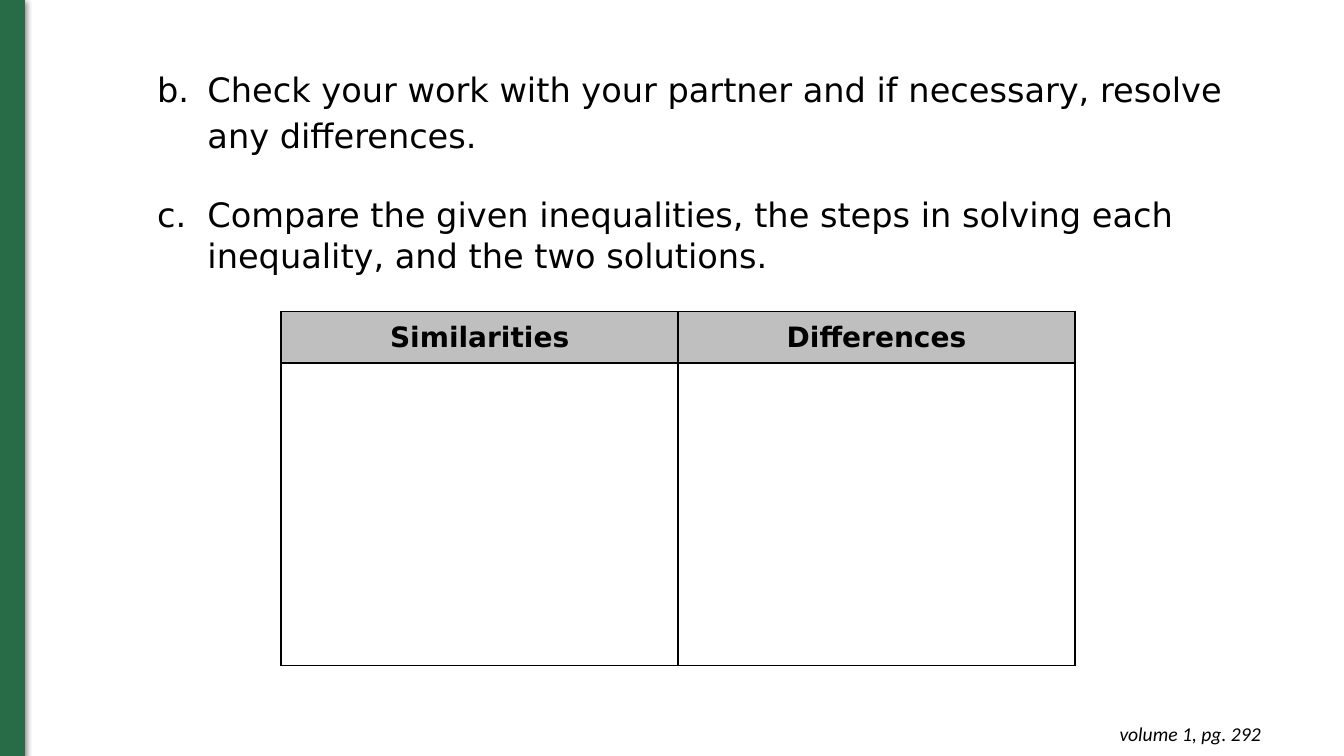
import pptx
import pptx.dml.color
import pptx.enum.shapes
import pptx.enum.text
import pptx.oxml
import pptx.oxml.ns
import pptx.util
from pptx.util import Cm, Pt

# Content
TASKS = [
    "Check your work with your partner and if necessary, resolve any differences.",
    "Compare the given inequalities, the steps in solving each inequality, and the two solutions.",
]
FIRST_LETTER = 2
LINE_SPACINGS = [1.15, 1.0]
HEADINGS = ["Similarities", "Differences"]
PAGE_REFERENCE = "volume 1, pg. 292"

COLORS = {"green": "276C46", "grey": "BFBFBF", "black": "000000"}
BODY_FONT, NOTE_FONT = "DejaVu Sans", "Calibri"
ALIGN = pptx.enum.text.PP_ALIGN


def color(name):
    return pptx.dml.color.RGBColor.from_string(COLORS[name])


def xml(markup):
    namespace = pptx.oxml.ns.nsdecls("a")
    return pptx.oxml.parse_xml(markup.replace(" ", f" {namespace} ", 1))


def add_span(para, text, size, font, bold=None, italic=None):
    span = para.add_run()
    span.text = text
    span.font.size = Pt(size)
    span.font.name = font
    span.font.bold = bold
    span.font.italic = italic
    span.font.color.rgb = color("black")


def add_box(page, left, top, width, height):
    box = page.shapes.add_textbox(Cm(left), Cm(top), Cm(width), Cm(height))
    box.text_frame.word_wrap = True
    box.text_frame.auto_size = pptx.enum.text.MSO_AUTO_SIZE.SHAPE_TO_FIT_TEXT
    return box.text_frame


def add_borders(cell, points):
    properties = cell._tc.get_or_add_tcPr()
    for position, side in enumerate(("lnL", "lnR", "lnT", "lnB")):
        properties.insert(position, xml(
            f'<a:{side} w="{Pt(points)}"><a:solidFill>'
            f'<a:srgbClr val="{COLORS["black"]}"/></a:solidFill></a:{side}>'))


def add_side_bar(page, height):
    bar = page.shapes.add_shape(
        pptx.enum.shapes.MSO_SHAPE.RECTANGLE, 0, 0, Cm(0.62), height)
    bar.fill.solid()
    bar.fill.fore_color.rgb = color("green")
    bar.line.color.rgb = color("green")
    bar.line.width = Pt(0.75)
    bar.shadow.inherit = False
    effects = bar._element.spPr.find(pptx.oxml.ns.qn("a:effectLst"))
    effects.append(xml(
        f'<a:outerShdw blurRad="{Pt(4.5)}" dist="{Pt(1.5)}" dir="5400000" rotWithShape="0">'
        f'<a:srgbClr val="{COLORS["black"]}"><a:alpha val="50000"/></a:srgbClr></a:outerShdw>'))


def add_tasks(page):
    frame = add_box(page, 2.44, 1.45, 29.31, 5.69)
    for index, (task, spacing) in enumerate(zip(TASKS, LINE_SPACINGS)):
        para = frame.paragraphs[0] if index == 0 else frame.add_paragraph()
        properties = para._p.get_or_add_pPr()
        properties.set("marL", str(Cm(2.54)))
        properties.set("indent", str(-Cm(1.27)))
        properties.append(xml(f'<a:buClr ><a:srgbClr val="{COLORS["black"]}"/></a:buClr>'))
        properties.append(xml(f'<a:buFont typeface="{BODY_FONT}"/>'))
        properties.append(xml(f'<a:buAutoNum type="alphaLcPeriod" startAt="{FIRST_LETTER}"/>'))
        para.line_spacing = spacing
        if index:
            para.space_before = Pt(28)
        add_span(para, task, 24, BODY_FONT)


def add_comparison(page):
    row_heights, column_width = [1.3, 7.62], 10
    table = page.shapes.add_table(
        len(row_heights), len(HEADINGS), Cm(7.09), Cm(7.85),
        Cm(column_width * len(HEADINGS)), Cm(sum(row_heights))).table
    table.first_row = table.horz_banding = False
    for row, height in zip(table.rows, row_heights):
        row.height = Cm(height)
    for column, heading in enumerate(HEADINGS):
        table.columns[column].width = Cm(column_width)
        header, answer = table.cell(0, column), table.cell(1, column)
        header.fill.solid()
        header.fill.fore_color.rgb = color("grey")
        header.vertical_anchor = pptx.enum.text.MSO_ANCHOR.MIDDLE
        para = header.text_frame.paragraphs[0]
        para.alignment = ALIGN.CENTER
        add_span(para, heading, 20, BODY_FONT, bold=True)
        answer.fill.background()
        for cell in (header, answer):
            add_borders(cell, 1.5)


def add_page_reference(page):
    frame = add_box(page, 24.71, 17.93, 7.32, 1.12)
    frame.margin_left = frame.margin_right = Cm(0.25)
    frame.margin_top = frame.margin_bottom = Cm(0.25)
    para = frame.paragraphs[0]
    para.alignment = ALIGN.RIGHT
    add_span(para, PAGE_REFERENCE, 14, NOTE_FONT, italic=True)


def main():
    deck = pptx.Presentation()
    deck.slide_width, deck.slide_height = Cm(33.87), Cm(19.05)
    page = deck.slides.add_slide(deck.slide_layouts[6])
    add_side_bar(page, deck.slide_height)
    add_tasks(page)
    add_comparison(page)
    add_page_reference(page)
    deck.save("out.pptx")


if __name__ == "__main__":
    main()
